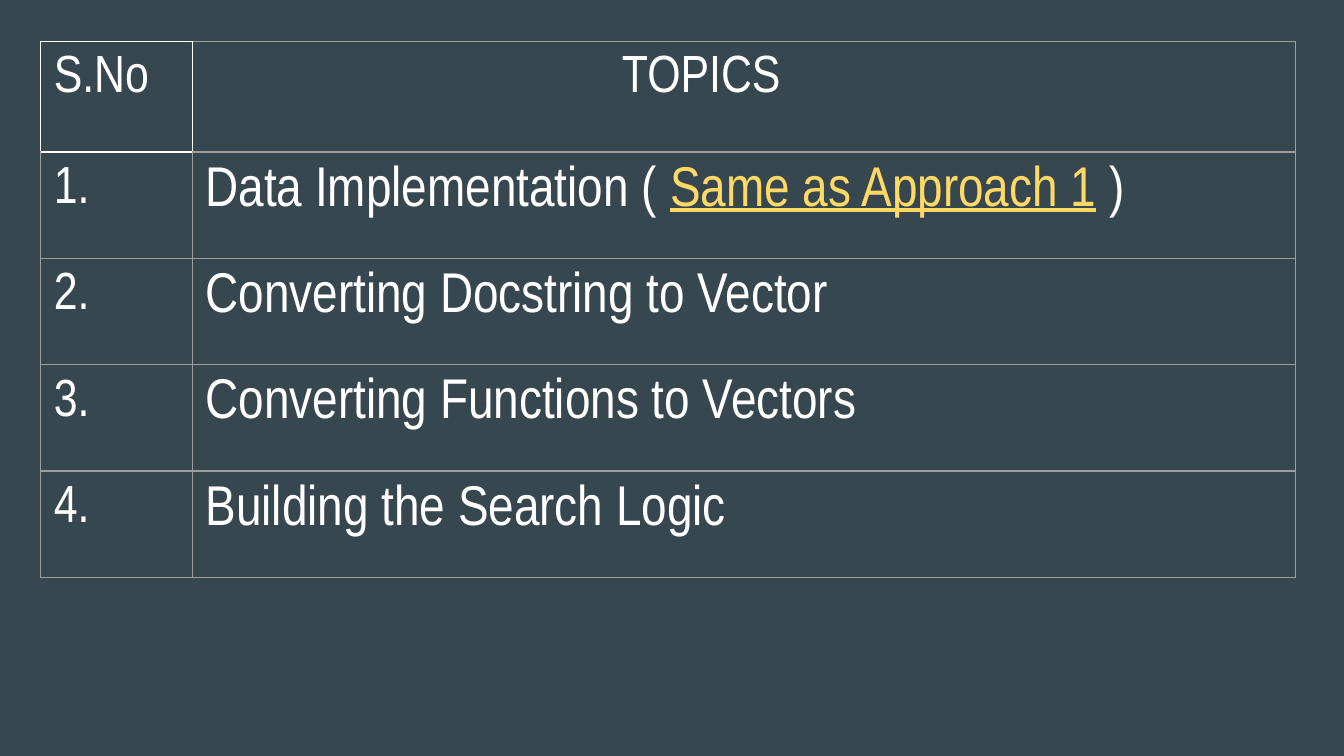
from lxml import etree
from pptx import Presentation
from pptx.dml.color import RGBColor
from pptx.oxml.ns import qn
from pptx.util import Pt

COLORS = {
    "background": "37474F",
    "text": "FFFFFF",
    "link": "FFD966",
    "grid": "9E9E9E",
}
FONT = "Arial Narrow"
NUMBER_SIZE, TOPIC_SIZE = 28, 30
COLUMN_WIDTHS = (81.4, 591.1)
HEADER_HEIGHT, TOPIC_HEIGHT = 59.2, 57
CELL_MARGIN = 7.2
HEADING_INDENT = 223

# Each topic is a list of (text, is_link) parts.
TOPICS = [
    [("Data Implementation ( ", False), ("Same as Approach 1", True), (" )", False)],
    [("Converting Docstring to Vector", False)],
    [("Converting Functions to Vectors", False)],
    [("Building the Search Logic", False)],
]


def rgb(name):
    return RGBColor.from_string(COLORS[name])


def set_borders(cell, edge_colors):
    """Draw the left, right, top and bottom edges, in that order."""
    properties = cell._tc.get_or_add_tcPr()
    for side, color in zip("LRTB", edge_colors):
        edge = etree.SubElement(properties, qn(f"a:ln{side}"), w=str(Pt(0.75)))
        fill = etree.SubElement(edge, qn("a:solidFill"))
        etree.SubElement(fill, qn("a:srgbClr"), val=COLORS[color])


def fill_cell(cell, parts, size, edge_colors=("grid",) * 4, indent=0):
    cell.margin_left = Pt(CELL_MARGIN + indent)
    cell.margin_right = cell.margin_top = cell.margin_bottom = Pt(CELL_MARGIN)
    set_borders(cell, edge_colors)
    cell.fill.background()
    paragraph = cell.text_frame.paragraphs[0]
    for text, is_link in parts:
        run = paragraph.add_run()
        run.text = text
        run.font.name = FONT
        run.font.size = Pt(size)
        run.font.color.rgb = rgb("link" if is_link else "text")
        if is_link:
            run.font.underline = True


def add_topics_table(slide):
    row_heights = [HEADER_HEIGHT] + [TOPIC_HEIGHT] * len(TOPICS)
    table = slide.shapes.add_table(
        len(row_heights), len(COLUMN_WIDTHS), Pt(21.6), Pt(22.2),
        Pt(sum(COLUMN_WIDTHS)), Pt(sum(row_heights)),
    ).table
    table.first_row = table.horz_banding = False
    for column, width in zip(table.columns, COLUMN_WIDTHS):
        column.width = Pt(width)
    for row, height in zip(table.rows, row_heights):
        row.height = Pt(height)

    fill_cell(table.cell(0, 0), [("S.No", False)], NUMBER_SIZE, ("text",) * 4)
    fill_cell(table.cell(0, 1), [("TOPICS", False)], NUMBER_SIZE,
              ("text", "grid", "grid", "grid"), HEADING_INDENT)
    for number, topic in enumerate(TOPICS, start=1):
        top_color = "text" if number == 1 else "grid"
        fill_cell(table.cell(number, 0), [(f"{number}.", False)], NUMBER_SIZE,
                  ("grid", "grid", top_color, "grid"))
        fill_cell(table.cell(number, 1), topic, TOPIC_SIZE)


def main():
    presentation = Presentation()
    presentation.slide_width, presentation.slide_height = Pt(720), Pt(405)
    slide = presentation.slides.add_slide(presentation.slide_layouts[6])
    slide.background.fill.solid()
    slide.background.fill.fore_color.rgb = rgb("background")
    add_topics_table(slide)
    presentation.save("out.pptx")


if __name__ == "__main__":
    main()
